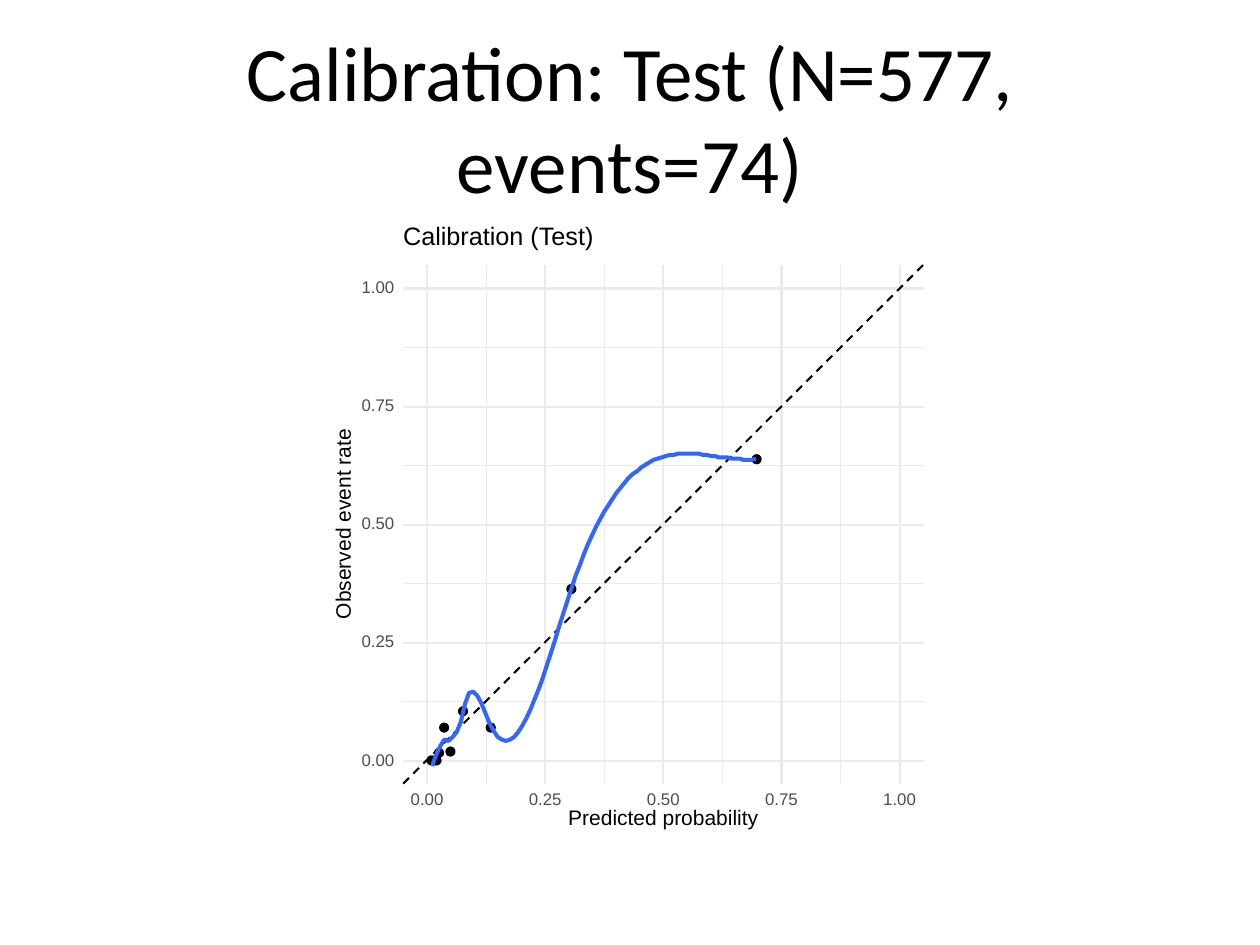
import lxml.etree
import pptx
import pptx.dml.color
import pptx.enum.dml
import pptx.enum.shapes
import pptx.enum.text
import pptx.oxml.ns
import pptx.util

HUES = {"ink": "000000", "paper": "FFFFFF", "grid": "EBEBEB", "tick": "4D4D4D", "curve": "3366FF"}
LEFT, RIGHT, TOP, BASE = 3.2, 7.33, 2.1, 6.22
ZERO_X, ZERO_Y, UNIT = 3.39, 6.04, 3.75
DOT = 0.07
DOTS = [
    (3.39, 6), (3.42, 6), (3.43, 6), (3.45, 5.94), (3.49, 5.74),
    (3.54, 5.93), (3.64, 5.61), (3.86, 5.74), (4.5, 4.64), (5.97, 3.61),
]
FIT_START, FIT_END = 3.43, 6.0
FIT = [
    6.08, 5.99, 5.92, 5.87, 5.88, 5.85, 5.81, 5.73, 5.59, 5.5,
    5.49, 5.52, 5.58, 5.66, 5.74, 5.8, 5.85, 5.87, 5.88, 5.87,
    5.85, 5.81, 5.76, 5.7, 5.63, 5.55, 5.47, 5.38, 5.28, 5.18,
    5.08, 4.97, 4.87, 4.77, 4.67, 4.57, 4.49, 4.4, 4.32, 4.25,
    4.18, 4.12, 4.06, 4.01, 3.96, 3.91, 3.87, 3.83, 3.79, 3.76,
    3.74, 3.71, 3.69, 3.67, 3.65, 3.64, 3.63, 3.62, 3.61, 3.61,
    3.6, 3.6, 3.6, 3.6, 3.6, 3.6, 3.61, 3.61, 3.62, 3.62,
    3.63, 3.63, 3.63, 3.64, 3.64, 3.64, 3.65, 3.65, 3.65, 3.64,
]


def tint(name):
    return pptx.dml.color.RGBColor.from_string(HUES[name])


def span(*sizes):
    return [pptx.util.Inches(size) for size in sizes]


def write(box, text, size=9.6, font="Arial", hue="tick", align="LEFT", inset=0, wrap=False, lead=None):
    frame = box.text_frame
    frame.word_wrap = wrap
    frame.vertical_anchor = pptx.enum.text.MSO_ANCHOR.MIDDLE
    frame.margin_left = frame.margin_right = pptx.util.Inches(inset)
    frame.margin_top = frame.margin_bottom = pptx.util.Inches(inset / 2)
    para = frame.paragraphs[0]
    para.alignment = pptx.enum.text.PP_ALIGN[align]
    if lead:
        para.line_spacing = pptx.util.Pt(lead)
    run = para.add_run()
    run.text = text
    run.font.size = pptx.util.Pt(size)
    run.font.name = font
    run.font.color.rgb = tint(hue)


class Plot:
    def __init__(self, slide):
        self.slide = slide
        self.layer = slide.shapes

    def group(self):
        self.layer = self.slide.shapes.add_group_shape().shapes

    def stroke(self, line, hue, width):
        line.color.rgb = tint(hue)
        line.width = pptx.util.Pt(width)

    def shape(self, kind, x, y, w, h, hue, width=0):
        item = self.layer.add_shape(pptx.enum.shapes.MSO_SHAPE[kind], *span(x, y, w, h))
        item.shadow.inherit = False
        item.fill.solid()
        item.fill.fore_color.rgb = tint(hue)
        if width:
            self.stroke(item.line, hue, width)
        else:
            item.line.fill.background()

    def line(self, x1, y1, x2, y2, hue, width, dash=False):
        kind = pptx.enum.shapes.MSO_CONNECTOR.STRAIGHT
        item = self.layer.add_connector(kind, *span(x1, y1, x2, y2))
        self.stroke(item.line, hue, width)
        if dash:
            item.line.dash_style = pptx.enum.dml.MSO_LINE.DASH
        lxml.etree.SubElement(item.element.spPr, pptx.oxml.ns.qn("a:effectLst"))

    def curve(self, points, hue, width):
        spots = [span(x, y) for x, y in points]
        pen = self.layer.build_freeform(*spots[0])
        pen.add_line_segments(spots[1:], close=False)
        item = pen.convert_to_shape()
        item.shadow.inherit = False
        item.fill.background()
        self.stroke(item.line, hue, width)

    def text(self, x, y, w, h, text, turn=0, **style):
        box = self.layer.add_textbox(*span(x, y, w, h))
        box.rotation = turn
        write(box, text, **style)

    def grid(self, marks, width):
        for mark in marks:
            y = ZERO_Y - UNIT * mark
            self.line(LEFT, y, RIGHT, y, "grid", width)
        for mark in marks:
            x = ZERO_X + UNIT * mark
            self.line(x, BASE, x, TOP, "grid", width)


def main():
    deck = pptx.Presentation()
    deck.slide_width, deck.slide_height = span(10, 7.5)
    plot = Plot(deck.slides.add_slide(deck.slide_layouts[6]))
    plot.text(0.5, 0.3, 9, 1.25, "Calibration: Test (N=577, events=74)", size=44,
              font="Calibri", hue="ink", align="CENTER", inset=0.1, wrap=True)

    plot.group()
    plot.shape("RECTANGLE", 0.5, 1.75, 9, 4.95, "paper", 0.75)
    plot.shape("RECTANGLE", 2.59, 1.75, 4.82, 4.95, "paper")
    major = [step / 4 for step in range(5)]
    plot.grid([mark + 1 / 8 for mark in major[:-1]], 0.58)
    plot.grid(major, 1.16)
    plot.line(LEFT, BASE, RIGHT, TOP, "ink", 1.16, dash=True)
    for x, y in DOTS:
        plot.shape("OVAL", x, y, DOT, DOT, "ink", 0.77)
    step = (FIT_END - FIT_START) / (len(FIT) - 1)
    plot.curve([(FIT_START + i * step, y) for i, y in enumerate(FIT)], "curve", 2.33)

    for mark in major:
        plot.text(2.87, ZERO_Y - UNIT * mark - 0.05, 0.26, 0.1, f"{mark:.2f}", lead=9.6)
    for mark in major:
        plot.text(ZERO_X + UNIT * mark - 0.13, 6.3, 0.26, 0.1, f"{mark:.2f}", lead=9.6)
    label = {"size": 12, "lead": 12, "hue": "ink"}
    plot.text(4.51, 6.43, 1.51, 0.15, "Predicted probability", **label)
    plot.text(1.98, 4.1, 1.51, 0.12, "Observed event rate", turn=270, **label)
    plot.text(3.2, 1.79, 1.53, 0.19, "Calibration (Test)", size=14.4, lead=14.4, hue="ink")
    deck.save("out.pptx")


if __name__ == "__main__":
    main()
